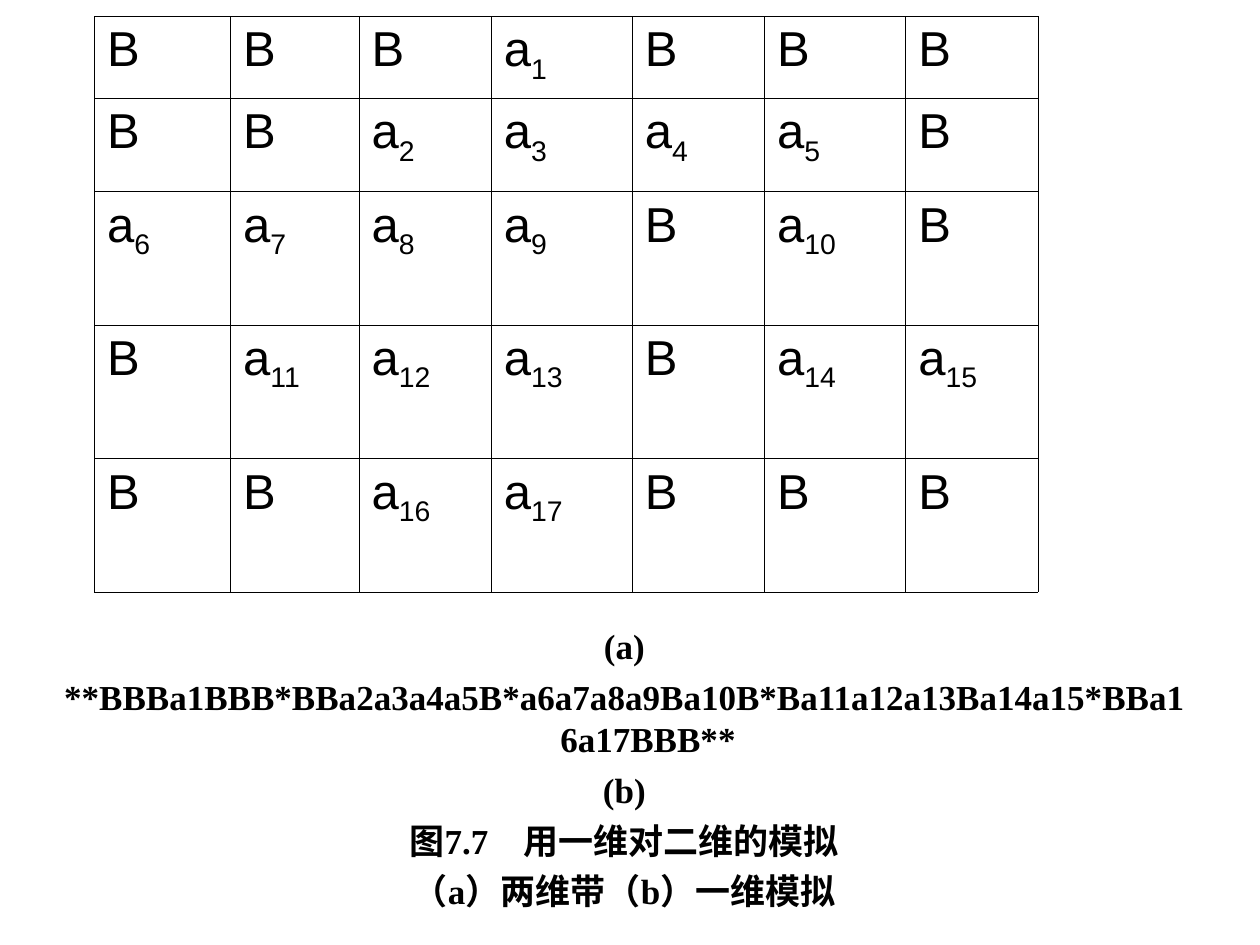
from lxml import etree
from pptx import Presentation
from pptx.dml.color import RGBColor
from pptx.enum import text as t
from pptx.oxml.ns import qn
from pptx.util import Pt

COLORS = {"ink": "000000", "paper": "FFFFFF"}
HANGING = 27

COLUMN_WIDTHS = [77.76, 73.44, 75.6, 80.64, 75.6, 80.64, 75.6]
ROW_HEIGHTS = [46.8, 53.28, 76.32, 76.32, 76.32]
TAPE = [
    "B B B a1 B B B",
    "B B a2 a3 a4 a5 B",
    "a6 a7 a8 a9 B a10 B",
    "B a11 a12 a13 B a14 a15",
    "B B a16 a17 B B B",
]
CAPTION = [
    "(a)",
    "**BBBa1BBB*BBa2a3a4a5B*a6a7a8a9Ba10B*Ba11a12a13Ba14a15*BBa16a17BBB**",
    "(b)",
    "图7.7　用一维对二维的模拟",
    "（a）两维带（b）一维模拟",
]


def add_run(paragraph, content, font="Arial", size=28, bold=False, subscript=False):
    run = paragraph.add_run()
    run.text = content
    run.font.name = font
    run.font.size = Pt(size)
    run.font.bold = bold
    run.font.color.rgb = RGBColor.from_string(COLORS["ink"])
    if subscript:
        run.font._element.set("baseline", "-25000")


def hang_indent(paragraph):
    properties = paragraph._p.get_or_add_pPr()
    properties.set("marL", str(Pt(HANGING)))
    properties.set("indent", str(Pt(-HANGING)))


def set_borders(cell, width=0.45):
    properties = cell._tc.get_or_add_tcPr()
    for position, side in enumerate(("lnL", "lnR", "lnT", "lnB")):
        line = etree.Element(qn(f"a:{side}"), w=str(Pt(width)))
        fill = etree.SubElement(line, qn("a:solidFill"))
        etree.SubElement(fill, qn("a:srgbClr"), val=COLORS["ink"])
        properties.insert(position, line)


def fill_cell(cell, symbol):
    cell.fill.background()
    set_borders(cell)
    paragraph = cell.text_frame.paragraphs[0]
    hang_indent(paragraph)
    add_run(paragraph, symbol[0])
    if symbol[1:]:
        add_run(paragraph, symbol[1:], subscript=True)


def add_tape_table(slide, left, top):
    table = slide.shapes.add_table(
        len(ROW_HEIGHTS), len(COLUMN_WIDTHS), Pt(left), Pt(top),
        Pt(sum(COLUMN_WIDTHS)), Pt(sum(ROW_HEIGHTS))).table
    table.first_row = False
    table.horz_banding = False
    for column, width in zip(table.columns, COLUMN_WIDTHS):
        column.width = Pt(width)
    for row, height, symbols in zip(table.rows, ROW_HEIGHTS, TAPE):
        row.height = Pt(height)
        for cell, symbol in zip(row.cells, symbols.split()):
            fill_cell(cell, symbol)


def add_caption(slide, left, top, width, height):
    frame = slide.shapes.add_textbox(Pt(left), Pt(top), Pt(width), Pt(height)).text_frame
    frame.word_wrap = True
    frame.auto_size = t.MSO_AUTO_SIZE.SHAPE_TO_FIT_TEXT
    for index, line in enumerate(CAPTION):
        paragraph = frame.add_paragraph() if index else frame.paragraphs[0]
        paragraph.alignment = t.PP_ALIGN.CENTER
        paragraph.space_before = Pt(5)
        hang_indent(paragraph)
        add_run(paragraph, line, font="Times New Roman", size=20, bold=True)


def main():
    presentation = Presentation()
    presentation.slide_width, presentation.slide_height = Pt(720), Pt(540)
    slide = presentation.slides.add_slide(presentation.slide_layouts[6])
    background = slide.background.fill
    background.solid()
    background.fore_color.rgb = RGBColor.from_string(COLORS["paper"])
    add_tape_table(slide, 54, 9.36)
    add_caption(slide, 25.2, 353.5, 663.1, 171.4)
    presentation.save("out.pptx")


if __name__ == "__main__":
    main()
